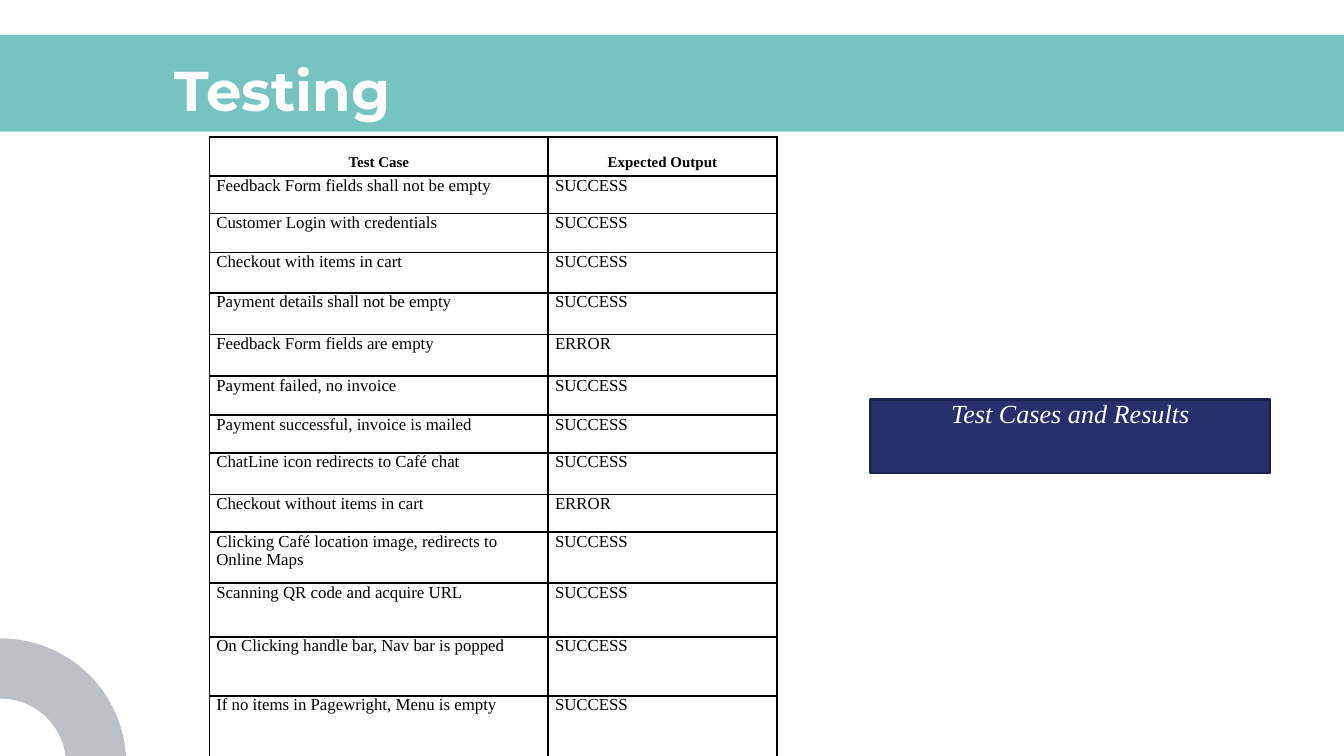
import pptx
import pptx.util
import pptx.dml.color
import pptx.enum.shapes
import pptx.enum.text
import pptx.oxml.ns
from lxml import etree

Inches, Pt = pptx.util.Inches, pptx.util.Pt
RGBColor = pptx.dml.color.RGBColor
Shape = pptx.enum.shapes.MSO_SHAPE
Align, Anchor = pptx.enum.text.PP_ALIGN, pptx.enum.text.MSO_ANCHOR

TEAL = RGBColor(0x75, 0xC4, 0xC0)
GRAY = RGBColor(0xBD, 0xC1, 0xC6)
NAVY = RGBColor(0x27, 0x30, 0x6D)
DARK_NAVY = RGBColor(0x1B, 0x22, 0x50)
WHITE = RGBColor(0xFF, 0xFF, 0xFF)
BLACK = RGBColor(0, 0, 0)
SERIF = "Times New Roman"

# Content
TITLE = "Testing"
CAPTION = "Test Cases and Results"
COLUMN_WIDTHS = [2.52, 1.7]
TEST_CASES = [  # row height, test case, expected output
    (0.29, "Test Case", "Expected Output"),
    (0.28, "Feedback Form fields shall not be empty", "SUCCESS"),
    (0.29, "Customer Login with credentials", "SUCCESS"),
    (0.3, "Checkout with items in cart", "SUCCESS"),
    (0.31, "Payment details shall not be empty", "SUCCESS"),
    (0.31, "Feedback Form fields are empty", "ERROR"),
    (0.29, "Payment failed, no invoice", "SUCCESS"),
    (0.28, "Payment successful, invoice is mailed", "SUCCESS"),
    (0.31, "ChatLine icon redirects to Café chat", "SUCCESS"),
    (0.28, "Checkout without items in cart", "ERROR"),
    (0.38, "Clicking Café location image, redirects to Online Maps", "SUCCESS"),
    (0.4, "Scanning QR code and acquire URL", "SUCCESS"),
    (0.44, "On Clicking handle bar, Nav bar is popped", "SUCCESS"),
    (0.45, "If no items in Pagewright, Menu is empty", "SUCCESS"),
]


def add_filled(page, kind, place, fill, line=None):
    shape = page.shapes.add_shape(kind, *map(Inches, place))
    shape.shadow.inherit = False
    shape.fill.solid()
    shape.fill.fore_color.rgb = fill
    if line is None:
        shape.line.fill.background()
    else:
        shape.line.color.rgb = line
        shape.line.width = Pt(1.5)
    return shape


def style_text(para, name, size, color, align, bold=False, italic=False):
    para.alignment = align
    font = para.font
    font.name, font.size, font.bold, font.italic = name, Pt(size), bold, italic
    font.color.rgb = color


def add_borders(cell):
    properties = cell._tc.get_or_add_tcPr()
    qn = pptx.oxml.ns.qn
    for side in ("lnL", "lnR", "lnT", "lnB"):
        line = etree.SubElement(properties, qn(f"a:{side}"), w=str(Pt(1)))
        fill = etree.SubElement(line, qn("a:solidFill"))
        etree.SubElement(fill, qn("a:srgbClr"), val=str(BLACK))


# A 16:9 page
deck = pptx.Presentation()
deck.slide_width, deck.slide_height = Inches(10), Inches(10 * 9 / 16)
page = deck.slides.add_slide(deck.slide_layouts[5])

# Title band and corner ring
add_filled(page, Shape.RECTANGLE, (-0.17, 0.26, 10.34, 0.72), TEAL)
ring = add_filled(page, Shape.BLOCK_ARC, (-0.93, 4.75, 1.87, 1.87), GRAY)
for index, value in enumerate((161.65, 0.69, 0.24)):
    ring.adjustments[index] = value

# Title, raised above the band
title = page.shapes.title
page.shapes.element.append(title.element)
title.left, title.top, title.width, title.height = map(Inches, (1.2, 0.31, 8.46, 0.63))
frame = title.text_frame
frame.text = TITLE
frame.auto_size = pptx.enum.text.MSO_AUTO_SIZE.NONE
frame.vertical_anchor = Anchor.TOP
frame.margin_left = frame.margin_right = frame.margin_top = frame.margin_bottom = Inches(0.1)
style_text(frame.paragraphs[0], "Montserrat", 30, WHITE, Align.LEFT, bold=True)

# Table of test cases
heights = [row[0] for row in TEST_CASES]
table = page.shapes.add_table(
    len(TEST_CASES), len(COLUMN_WIDTHS), Inches(1.56), Inches(1.02),
    Inches(sum(COLUMN_WIDTHS)), Inches(sum(heights))).table
table.first_row = table.horz_banding = False
for column, width in zip(table.columns, COLUMN_WIDTHS):
    column.width = Inches(width)
for row_index, (height, *texts) in enumerate(TEST_CASES):
    header = row_index == 0
    table.rows[row_index].height = Inches(height)
    for column_index, text in enumerate(texts):
        cell = table.cell(row_index, column_index)
        cell.text = text
        cell.margin_left = cell.margin_right = Inches(0.05)
        cell.margin_top = Inches(0.13 if header else 0)
        cell.margin_bottom = 0
        add_borders(cell)
        cell.fill.background()
        style_text(cell.text_frame.paragraphs[0], SERIF, 8 if header else 9, BLACK,
                   Align.CENTER if header else Align.LEFT, bold=header)

# Caption box, with its text in the upper part
caption = add_filled(page, Shape.RECTANGLE, (6.48, 2.97, 2.97, 0.55), NAVY, DARK_NAVY)
frame = caption.text_frame
frame.text = CAPTION
frame.word_wrap = True
frame.vertical_anchor = Anchor.MIDDLE
frame.margin_left = frame.margin_right = Inches(0.1)
frame.margin_top, frame.margin_bottom = 0, Inches(0.35)
style_text(frame.paragraphs[0], SERIF, 14, WHITE, Align.CENTER, italic=True)

deck.save("out.pptx")
